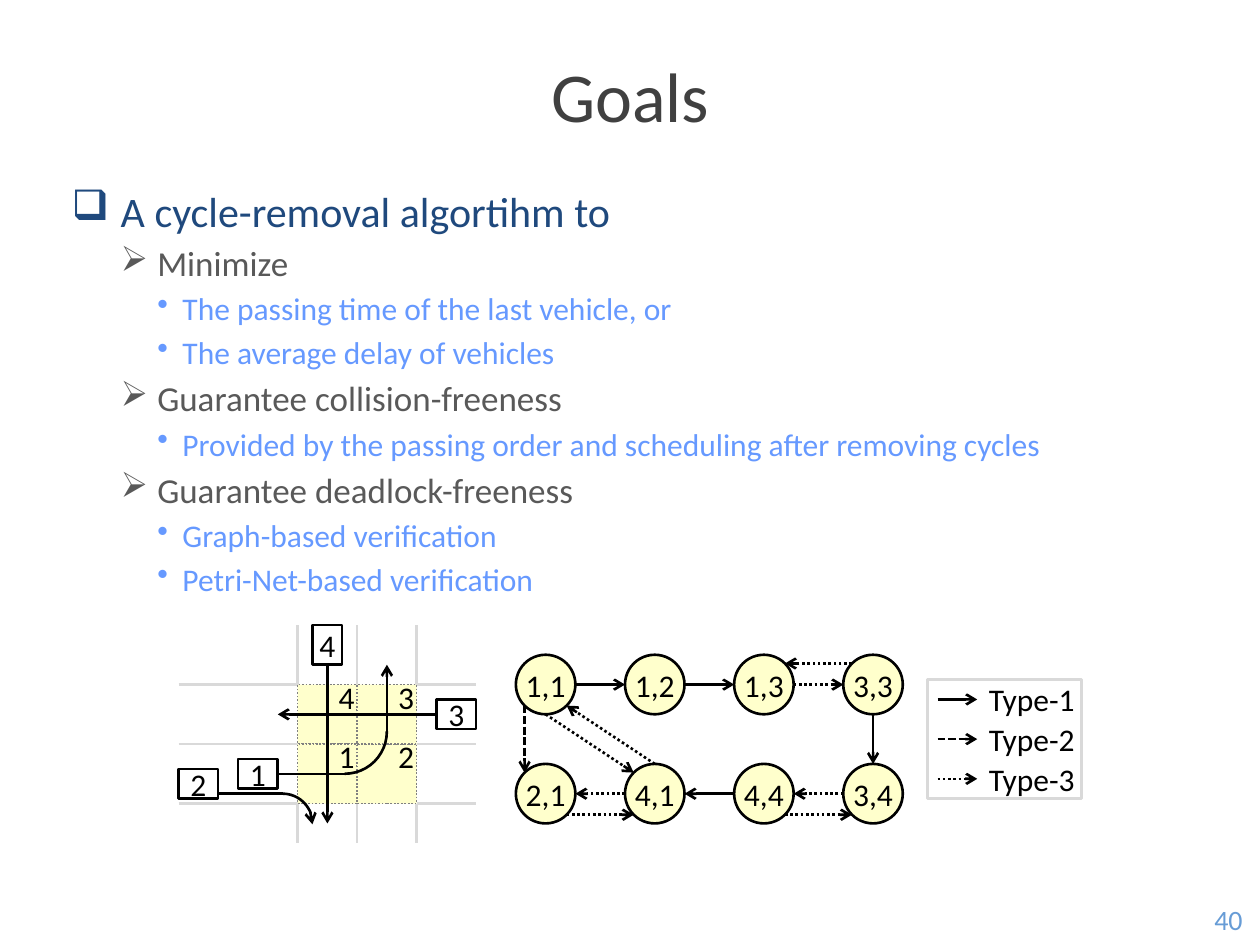
import math

import lxml.etree
import pptx
import pptx.dml.color
import pptx.enum.dml
import pptx.enum.shapes
import pptx.enum.text
import pptx.oxml.ns
import pptx.util

Inches = pptx.util.Inches
Pt = pptx.util.Pt
Shape = pptx.enum.shapes.MSO_SHAPE
Align = pptx.enum.text.PP_ALIGN
Dash = pptx.enum.dml.MSO_LINE
qn = pptx.oxml.ns.qn

COLORS = {
    "title": "404040", "heading": "1F497D", "topic": "595959", "detail": "6699FF",
    "number": "679CD6", "road": "D9D9D9", "cell": "FFFFCC", "cell_line": "808080",
    "ink": "000000",
}
LEVELS = [
    {"bullet": "❑", "size": 24, "color": "heading", "margin": 0.39, "indent": 0.39, "before": 0},
    {"bullet": "➢", "size": 20, "color": "topic", "margin": 0.68, "indent": 0.29, "before": 3.6},
    {"bullet": "•", "size": 18, "color": "detail", "margin": 0.88, "indent": 0.2, "before": 3.2},
]
GOALS = [
    (0, "A cycle-removal algortihm to"),
    (1, "Minimize"),
    (2, "The passing time of the last vehicle, or"),
    (2, "The average delay of vehicles"),
    (1, "Guarantee collision-freeness"),
    (2, "Provided by the passing order and scheduling after removing cycles"),
    (1, "Guarantee deadlock-freeness"),
    (2, "Graph-based verification"),
    (2, "Petri-Net-based verification"),
]
EDGE_DASHES = {1: None, 2: Dash.SQUARE_DOT, 3: Dash.ROUND_DOT}
SYSTEM_DASHES = {Dash.SQUARE_DOT: "sysDash", Dash.ROUND_DOT: "sysDot"}
SITES = ["top", "top left", "left", "bottom left", "bottom", "bottom right", "right", "top right"]
UNITS_PER_INCH = 12.7


def grid(units):
    return Inches(units / UNITS_PER_INCH)


def rgb(name):
    return pptx.dml.color.RGBColor.from_string(COLORS[name])


def write_text(frame, text, size=18, color="ink", align=Align.CENTER, insets=(0, 0, 0, 0),
               anchor=pptx.enum.text.MSO_ANCHOR.MIDDLE, wrap=True, paragraph=None):
    frame.word_wrap = wrap
    frame.vertical_anchor = anchor
    frame.margin_left, frame.margin_top, frame.margin_right, frame.margin_bottom = map(Inches, insets)
    paragraph = paragraph or frame.paragraphs[0]
    paragraph.alignment = align
    run = paragraph.add_run()
    run.text = text
    run.font.name = "Calibri"
    run.font.size = Pt(size)
    run.font.color.rgb = rgb(color)


def style_line(item, color, dash=None, arrow=False, width=1.5):
    item.line.color.rgb = rgb(color)
    item.line.width = Pt(width)
    line = item.line._get_or_add_ln()
    if dash:
        item.line.dash_style = dash
        line.find(qn("a:prstDash")).set("val", SYSTEM_DASHES[dash])
    if arrow:
        lxml.etree.SubElement(line, qn("a:tailEnd"), type="arrow")


def add_shape(slide, kind, left, top, width, height, fill=None, line="ink", dash=None,
              arrow=False, line_width=1.5):
    shape = slide.shapes.add_shape(kind, left, top, width, height)
    shape.shadow.inherit = False
    if fill:
        shape.fill.solid()
        shape.fill.fore_color.rgb = rgb(fill)
    else:
        shape.fill.background()
    style_line(shape, line, dash, arrow, line_width)
    return shape


def add_line(slide, start, end, color="ink", dash=None, arrow=False):
    connector = slide.shapes.add_connector(pptx.enum.shapes.MSO_CONNECTOR.STRAIGHT, *start, *end)
    style_line(connector, color, dash, arrow)
    lxml.etree.SubElement(connector._element.spPr, qn("a:effectLst"))
    return connector


def add_text_box(slide, left, top, width, height, text, **text_format):
    box = slide.shapes.add_textbox(left, top, width, height)
    write_text(box.text_frame, text, **text_format)


def add_goals(slide, left, top, width, height):
    frame = slide.shapes.add_textbox(left, top, width, height).text_frame
    for index, (level, text) in enumerate(GOALS):
        style = LEVELS[level]
        paragraph = frame.add_paragraph() if index else frame.paragraphs[0]
        paragraph.level = level
        properties = paragraph._p.get_or_add_pPr()
        properties.set("marL", str(Inches(style["margin"])))
        properties.set("indent", str(-Inches(style["indent"])))
        lxml.etree.SubElement(properties, qn("a:buChar"), char=style["bullet"])
        if style["before"]:
            paragraph.space_before = Pt(style["before"])
        write_text(frame, text, size=style["size"], color=style["color"], align=Align.LEFT,
                   insets=(0.1, 0.05, 0.1, 0.05), anchor=pptx.enum.text.MSO_ANCHOR.TOP,
                   paragraph=paragraph)


def add_intersection(slide, left, top):
    def at(x, y):
        return left + grid(x), top + grid(y)

    for position in (0, 6, 12):
        for start, end in ((0, 6), (18, 22)):
            add_line(slide, at(12 + position, start), at(12 + position, end), "road")
        for start, end in ((0, 12), (24, 30)):
            add_line(slide, at(start, 6 + position), at(end, 6 + position), "road")

    for text, column, row in (("4", 0, 0), ("1", 0, 1), ("2", 1, 1), ("3", 1, 0)):
        cell = add_shape(slide, Shape.RECTANGLE, *at(12 + 6 * column, 6 + 6 * row), grid(6), grid(6),
                         "cell", "cell_line", Dash.ROUND_DOT, line_width=1)
        write_text(cell.text_frame, text, align=Align.RIGHT, insets=(0, 0, 0.02, 0.28))

    vehicles = [
        ("4", 13.5, 0, 3, 4, 2, (15, 20), True),
        ("1", 6, 13.5, 4, 3, 3, (17, 15), False),
        ("2", 0, 14.5, 4, 3, 3, (10.5, 16), False),
        ("3", 26, 7.5, 4, 3, 1, (10, 9), True),
    ]
    for text, x, y, width, height, side, end, arrow in vehicles:
        vehicle = add_shape(slide, Shape.RECTANGLE, *at(x, y), grid(width), grid(height))
        write_text(vehicle.text_frame, text, wrap=False)
        if text == "2":
            end = (end[0], y + height / 2 + 1)
        path_line = add_line(slide, at(x, y), at(*end), arrow=arrow)
        if text == "2":
            path_line.begin_x, path_line.begin_y = at(x + width, end[1])
        else:
            path_line.begin_connect(vehicle, side)
    add_line(slide, at(21, 11), at(21, 4), arrow=True)

    turns = [(12.5, 6.5, 8.5, 215.54, 54.12, False), (7.5, 17, 6, 161.63, 1.03, True)]
    for x, y, size, start, end, arrow in turns:
        turn = add_shape(slide, Shape.ARC, *at(x, y), grid(size), grid(size), arrow=arrow)
        turn.adjustments[0], turn.adjustments[1] = start, end


def site_point(node, site):
    angle = math.radians(90 + 45 * site)
    return (round(node.left + node.width / 2 * (1 + math.cos(angle))),
            round(node.top + node.height / 2 * (1 - math.sin(angle))))


def add_edge(slide, start_node, start_side, end_node, end_side, edge_type):
    ends = [(start_node, SITES.index(start_side)), (end_node, SITES.index(end_side))]
    edge = add_line(slide, *(site_point(*end) for end in ends), dash=EDGE_DASHES[edge_type], arrow=True)
    joints = edge._element.find(".//" + qn("p:cNvCxnSpPr"))
    for tag, (node, site) in zip(("a:stCxn", "a:endCxn"), ends):
        lxml.etree.SubElement(joints, qn(tag), id=str(node.shape_id), idx=str(site))


def add_graph(slide, left, top):
    nodes = {}
    for row, labels in enumerate((("1,1", "1,2", "1,3", "3,3"), ("2,1", "4,1", "4,4", "3,4"))):
        for column, label in enumerate(labels):
            node = add_shape(slide, Shape.OVAL, left + grid(11 * column), top + grid(11 * row),
                             grid(6), grid(6), "cell")
            write_text(node.text_frame, label, wrap=False)
            nodes[label] = node
    edges = [
        ("1,1", "right", "1,2", "left", 1),
        ("1,2", "right", "1,3", "left", 1),
        ("3,3", "bottom", "3,4", "top", 1),
        ("4,4", "left", "4,1", "right", 1),
        ("1,1", "bottom left", "2,1", "top left", 2),
        ("4,1", "left", "2,1", "right", 3),
        ("1,1", "bottom", "4,1", "top left", 3),
        ("4,1", "top", "1,1", "bottom right", 3),
        ("1,3", "right", "3,3", "left", 3),
        ("3,3", "top left", "1,3", "top right", 3),
        ("4,4", "bottom right", "3,4", "bottom left", 3),
        ("3,4", "left", "4,4", "right", 3),
        ("2,1", "bottom right", "4,1", "bottom left", 3),
    ]
    for start, start_side, end, end_side, edge_type in edges:
        add_edge(slide, nodes[start], start_side, nodes[end], end_side, edge_type)


def add_legend(slide, left, top, width, height):
    add_shape(slide, Shape.RECTANGLE, left, top, width, height, line="road")
    for edge_type, dash in EDGE_DASHES.items():
        middle = top + grid(4 * edge_type - 2)
        add_line(slide, (left + grid(1), middle), (left + grid(5), middle), dash=dash, arrow=True)
        add_text_box(slide, left + grid(6), middle - grid(1.5), grid(9), grid(3), f"Type-{edge_type}")


def main():
    presentation = pptx.Presentation()
    presentation.slide_width, presentation.slide_height = Inches(10), Inches(7.5)
    slide = presentation.slides.add_slide(presentation.slide_layouts[6])
    add_text_box(slide, Inches(0.47), Inches(0.28), Inches(9.06), Inches(0.94), "Goals",
                 size=40, color="title")
    add_goals(slide, Inches(0.47), Inches(1.42), Inches(9.06), Inches(5.67))
    add_text_box(slide, Inches(9.5), Inches(7.1), Inches(0.5), Inches(0.4), "40",
                 size=16, color="number")
    add_intersection(slide, grid(18), grid(63))
    add_graph(slide, grid(52), grid(66))
    add_legend(slide, grid(93.5), grid(68.5), grid(15.5), grid(12))
    presentation.save("out.pptx")


if __name__ == "__main__":
    main()
